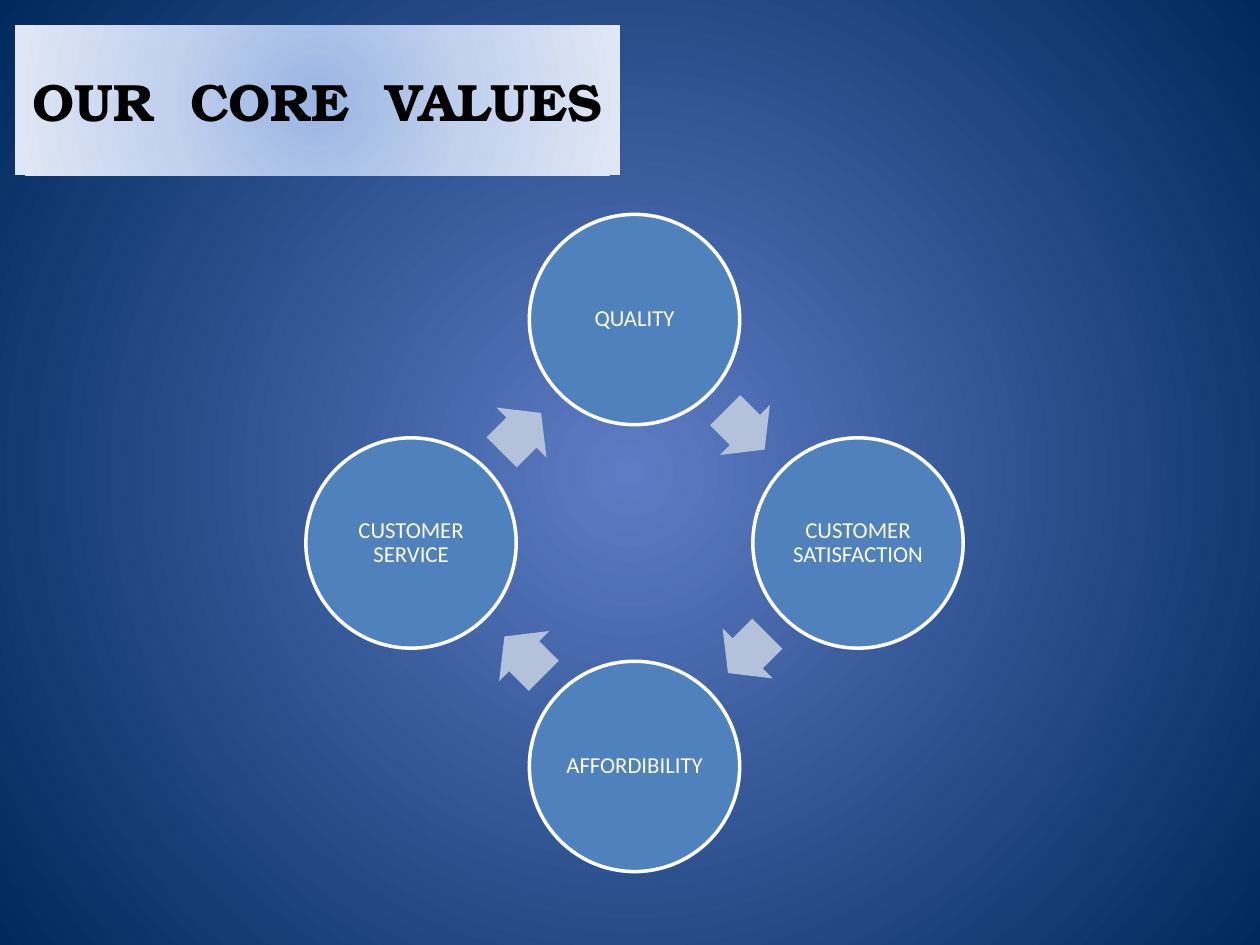
from math import cos, radians, sin

from lxml.etree import fromstring
from pptx import Presentation
from pptx.dml.color import RGBColor
from pptx.enum.shapes import MSO_SHAPE
from pptx.enum.text import MSO_ANCHOR, MSO_AUTO_SIZE, PP_ALIGN
from pptx.oxml.ns import nsdecls, qn
from pptx.util import Pt

TITLE = "OUR  CORE  VALUES"
VALUES = ["QUALITY", "CUSTOMER SATISFACTION", "AFFORDIBILITY", "CUSTOMER SERVICE"]  # clockwise from top

COLORS = {"circle": "4F81BD", "arrow": "B3C1DB", "white": "FFFFFF", "black": "000000"}
BACKGROUND_STOPS = [(0, "5E7CC5"), (100, "00295C")]
TITLE_STOPS = [(0, "9AB5E4"), (50, "C2D1ED"), (100, "E1E8F5")]

TITLE_BOX = (8.6, 14.4, 345.6, 85.7)
CENTER_X, CENTER_Y = 362.6, 310.3
RING_RADIUS = 127.7
CIRCLE_SIZE = 120.2
ARROW_WIDTH, ARROW_HEIGHT = 31.8, 40.5
ARROW_SETBACK = 1.1  # arrows sit slightly behind the midpoint between circles


def color(name):
    return RGBColor.from_string(COLORS[name])


def apply_radial_gradient(fill, parent, stops):
    """Swap the solid fill under parent for a gradient spreading from its centre."""
    fill.solid()
    stop_xml = "".join(
        f'<a:gs pos="{position * 1000}"><a:srgbClr val="{value}"/></a:gs>' for position, value in stops
    )
    gradient = fromstring(
        f'<a:gradFill {nsdecls("a")} rotWithShape="1"><a:gsLst>{stop_xml}</a:gsLst><a:path path="circle">'
        '<a:fillToRect l="50000" t="50000" r="50000" b="50000"/></a:path></a:gradFill>'
    )
    solid = parent.find(qn("a:solidFill"))
    parent.replace(solid, gradient)


def write_text(shape, text, size, font, color_name, bold=False, inset=7.2, line_spacing=1.0):
    frame = shape.text_frame
    frame.word_wrap = True
    frame.auto_size = MSO_AUTO_SIZE.NONE
    frame.vertical_anchor = MSO_ANCHOR.MIDDLE
    frame.margin_left = frame.margin_right = Pt(inset)
    frame.margin_top = frame.margin_bottom = Pt(min(inset, 3.6))
    paragraph = frame.paragraphs[0]
    paragraph.alignment = PP_ALIGN.CENTER
    paragraph.line_spacing = line_spacing
    run = paragraph.add_run()
    run.text = text
    run.font.size = Pt(size)
    run.font.name = font
    run.font.bold = bold
    run.font.color.rgb = color(color_name)


def add_centered_shape(slide, kind, x, y, width, height, fill):
    shape = slide.shapes.add_shape(kind, Pt(x - width / 2), Pt(y - height / 2), Pt(width), Pt(height))
    shape.shadow.inherit = False
    shape.fill.solid()
    shape.fill.fore_color.rgb = color(fill)
    return shape


def add_value_circle(slide, text, angle):
    x = CENTER_X + RING_RADIUS * cos(radians(angle))
    y = CENTER_Y + RING_RADIUS * sin(radians(angle))
    circle = add_centered_shape(slide, MSO_SHAPE.OVAL, x, y, CIRCLE_SIZE, CIRCLE_SIZE, "circle")
    circle.line.color.rgb = color("white")
    circle.line.width = Pt(2)
    write_text(circle, text, 13, "Calibri", "white", inset=1.3, line_spacing=0.9)


def add_cycle_arrow(slide, angle):
    """Place an arrow at this ring angle, pointing clockwise to the next circle."""
    distance = RING_RADIUS * cos(radians(45))
    out_x, out_y = cos(radians(angle)), sin(radians(angle))
    x = CENTER_X + distance * out_x + ARROW_SETBACK * out_y
    y = CENTER_Y + distance * out_y - ARROW_SETBACK * out_x
    arrow = add_centered_shape(slide, MSO_SHAPE.RIGHT_ARROW, x, y, ARROW_WIDTH, ARROW_HEIGHT, "arrow")
    arrow.adjustments[0] = 0.6
    arrow.adjustments[1] = 0.5
    arrow.line.fill.background()
    arrow.rotation = (angle + 90) % 360


def main():
    presentation = Presentation()
    presentation.slide_width = Pt(720)
    presentation.slide_height = Pt(540)
    slide = presentation.slides.add_slide(presentation.slide_layouts[5])

    background_fill = slide.background.fill
    background_fill.solid()
    background = slide.element.find(".//" + qn("p:bgPr"))
    apply_radial_gradient(background_fill, background, BACKGROUND_STOPS)

    title = slide.shapes.title
    title.left, title.top, title.width, title.height = map(Pt, TITLE_BOX)
    apply_radial_gradient(title.fill, title.element.spPr, TITLE_STOPS)
    write_text(title, TITLE, 30, "TeX Gyre Bonum", "black", bold=True)

    step = 360 / len(VALUES)
    for index, value in enumerate(VALUES):
        angle = -90 + index * step
        add_value_circle(slide, value, angle)
        add_cycle_arrow(slide, angle + step / 2)

    presentation.save("out.pptx")


if __name__ == "__main__":
    main()
